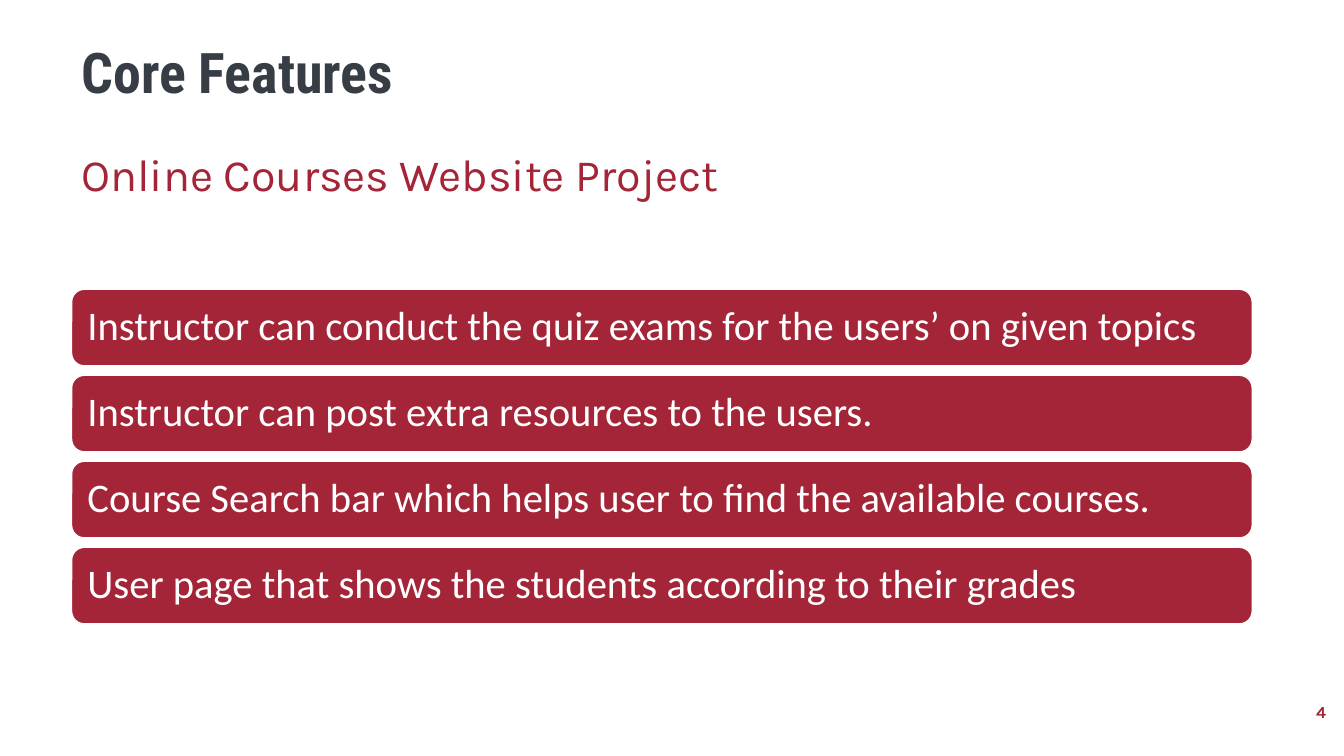
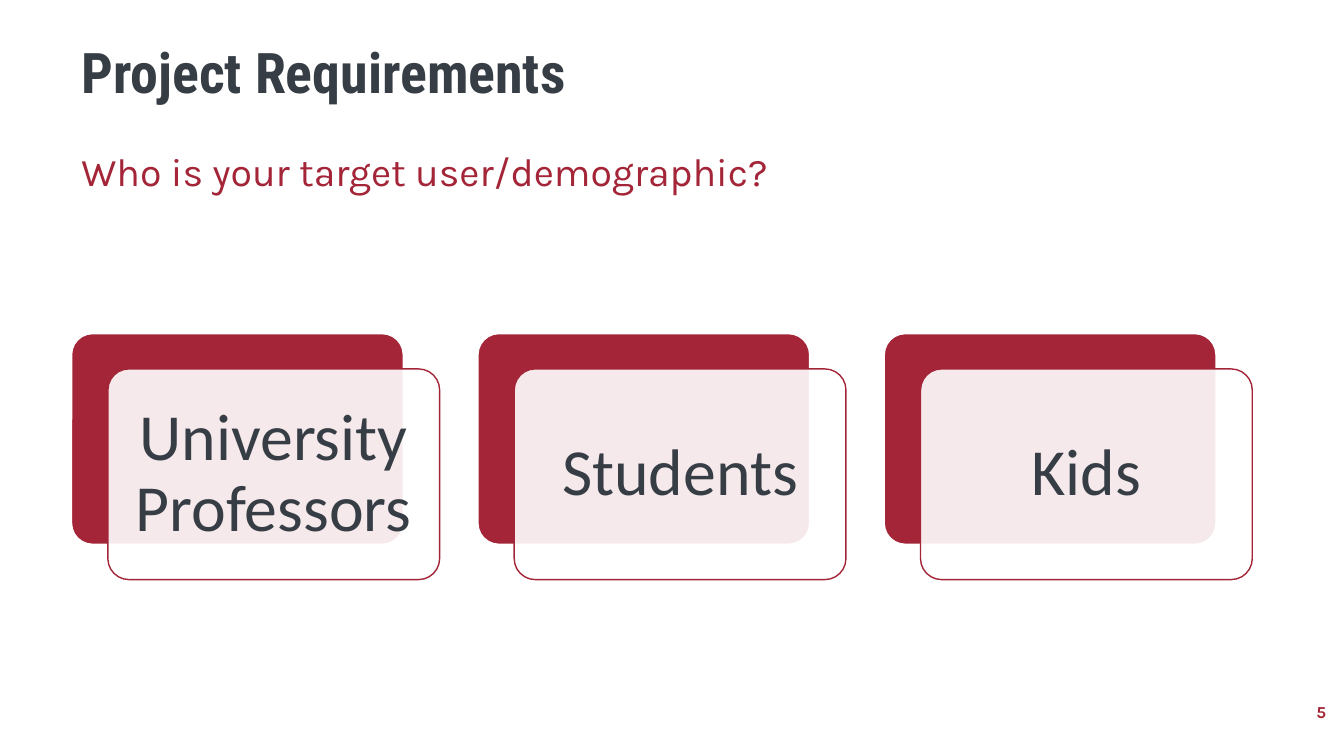
from dataclasses import dataclass

from lxml.etree import SubElement
from pptx import Presentation
from pptx.dml.color import RGBColor
from pptx.enum.shapes import MSO_SHAPE
from pptx.enum.text import MSO_ANCHOR, PP_ALIGN
from pptx.oxml.ns import qn
from pptx.util import Pt

FEATURES = {
    "title": "Core Features",
    "subtitle": "Online Courses Website Project",
    "subtitle_size": 32,
    "number": 4,
    "items": [
        "Instructor can conduct the quiz exams for the users’ on given topics",
        "Instructor can post extra resources to the users.",
        "Course Search bar which helps user to find the available courses.",
        "User page that shows the students according to their grades",
    ],
}
REQUIREMENTS = {
    "title": "Project Requirements",
    "subtitle": "Who is your target user/demographic?",
    "subtitle_size": 28,
    "number": 5,
    "items": ["University Professors", "Students", "Kids"],
}


@dataclass(frozen=True)
class Theme:
    red: RGBColor = RGBColor(0xA3, 0x25, 0x37)
    ink: RGBColor = RGBColor(0x36, 0x3D, 0x45)
    white: RGBColor = RGBColor(0xFF, 0xFF, 0xFF)
    heading: str = "Roboto Condensed"
    accent: str = "Karla"
    body: str = "Calibri"
    title_size: int = 40
    bar_size: int = 29
    card_size: int = 47
    number_size: int = 12
    line_spacing: float = 0.9


THEME = Theme()
EMU_PER_PX = 9144
SLIDE_W, SLIDE_H = 1333, 750
LEFT, WIDTH = 71, 1171
TITLE_BOX = (LEFT, 40, WIDTH, 80)
SUBTITLE_BOX = (LEFT, 147, WIDTH, 80)
NUMBER_BOX = (1025, 686, 300, 40)
BARS_TOP, BARS_H, BAR_H, BAR_INSET = 287, 332, 76, 12
CARDS_TOP, CARD_W, CARD_H, CARD_INSET = 331, 329, 209, 20
CARD_SHIFT_X, CARD_SHIFT_Y, CARD_CORNER = 36, 35, 0.1
CARD_OPACITY = 90


def px(value):
    return round(value * EMU_PER_PX)


def apply(target, formats):
    for attribute, value in formats.items():
        setattr(target, attribute, value)


def write(holder, text, font, color, paragraph=None, frame=None):
    text_frame = holder.text_frame
    apply(text_frame, {"word_wrap": True, **(frame or {})})
    line = text_frame.paragraphs[0]
    apply(line, {"alignment": PP_ALIGN.LEFT, **(paragraph or {})})
    run = line.add_run()
    run.text = text
    apply(run.font, font)
    run.font.color.rgb = color


def add_text(slide, box, *content):
    write(slide.shapes.add_textbox(*map(px, box)), *content)


def add_panel(slide, box, fill, outline, corner=None, opacity=None):
    panel = slide.shapes.add_shape(MSO_SHAPE.ROUNDED_RECTANGLE, *map(px, box))
    panel.shadow.inherit = False
    panel.fill.solid()
    panel.fill.fore_color.rgb = fill
    panel.line.color.rgb = outline
    panel.line.width = Pt(1)
    if corner is not None:
        panel.adjustments[0] = corner
    if opacity is not None:
        color = panel._element.spPr.find(qn("a:solidFill"))[0]
        SubElement(color, qn("a:alpha")).set("val", str(opacity * 1000))
    return panel


def centred_frame(inset):
    sides = ("margin_left", "margin_top", "margin_right", "margin_bottom")
    return {"vertical_anchor": MSO_ANCHOR.MIDDLE, **dict.fromkeys(sides, px(inset))}


def add_base(deck, content):
    slide = deck.slides.add_slide(deck.slide_layouts[6])
    spacing = {"line_spacing": THEME.line_spacing}
    add_text(slide, TITLE_BOX, content["title"],
             {"name": THEME.heading, "size": Pt(THEME.title_size), "bold": True},
             THEME.ink, spacing)
    add_text(slide, SUBTITLE_BOX, content["subtitle"],
             {"name": THEME.accent, "size": Pt(content["subtitle_size"])},
             THEME.red, {**spacing, "space_before": Pt(10)})
    add_text(slide, NUMBER_BOX, str(content["number"]),
             {"name": THEME.accent, "size": Pt(THEME.number_size), "bold": True},
             THEME.red, {"alignment": PP_ALIGN.RIGHT},
             {"vertical_anchor": MSO_ANCHOR.MIDDLE})
    return slide


def add_bars(slide, features):
    pitch = (BARS_H - BAR_H) / (len(features) - 1)
    for index, feature in enumerate(features):
        bar = add_panel(slide, (LEFT, BARS_TOP + index * pitch, WIDTH, BAR_H),
                        THEME.red, THEME.white)
        write(bar, feature, {"name": THEME.body, "size": Pt(THEME.bar_size)},
              THEME.white, {"line_spacing": THEME.line_spacing},
              centred_frame(BAR_INSET))


def add_cards(slide, audiences):
    pitch = (WIDTH - CARD_W - CARD_SHIFT_X) / (len(audiences) - 1)
    for index, audience in enumerate(audiences):
        left = LEFT + index * pitch
        add_panel(slide, (left, CARDS_TOP, CARD_W, CARD_H),
                  THEME.red, THEME.white, CARD_CORNER)
        front_box = (left + CARD_SHIFT_X, CARDS_TOP + CARD_SHIFT_Y, CARD_W, CARD_H)
        front = add_panel(slide, front_box, THEME.white, THEME.red,
                          CARD_CORNER, CARD_OPACITY)
        write(front, audience, {"name": THEME.body, "size": Pt(THEME.card_size)},
              THEME.ink,
              {"alignment": PP_ALIGN.CENTER, "line_spacing": THEME.line_spacing},
              centred_frame(CARD_INSET))


def main():
    deck = Presentation()
    apply(deck, {"slide_width": px(SLIDE_W), "slide_height": px(SLIDE_H)})
    for content, add_items in ((FEATURES, add_bars), (REQUIREMENTS, add_cards)):
        add_items(add_base(deck, content), content["items"])
    deck.save("out.pptx")


if __name__ == "__main__":
    main()
